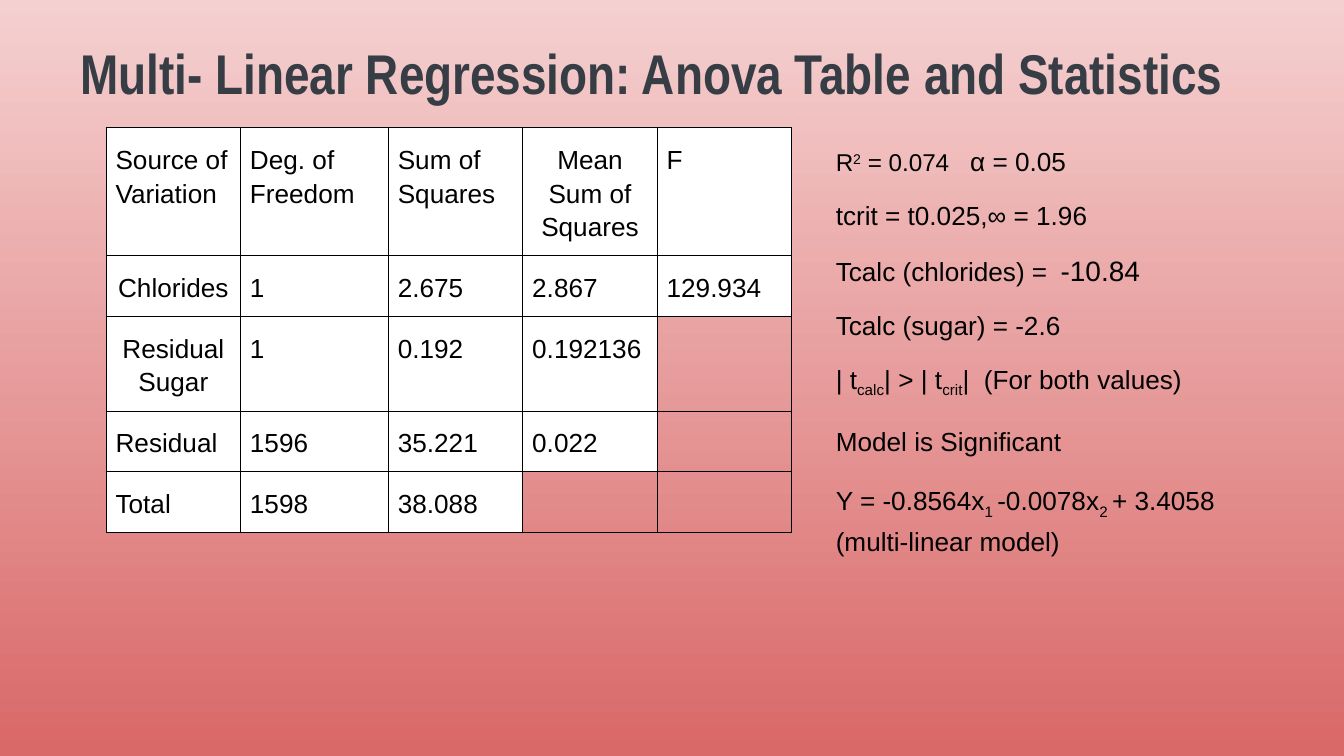
"""Build a slide with an ANOVA table and multi-linear regression statistics."""
from lxml import etree
from pptx import Presentation
from pptx import util as u
from pptx.dml import color
from pptx.enum import text
from pptx.oxml import ns

COLORS = {"light": "F5D0D0", "dark": "D96868", "title": "363D45", "ink": "000000", "cell": "FFFFFF"}


def rgb(name):
    return color.RGBColor.from_string(COLORS[name])


def write(para, words, size=14, font="Arial", ink="ink", bold=False, baseline=0):
    span = para.add_run()
    span.text = words
    span.font.size = u.Pt(size)
    span.font.name = font
    span.font.bold = bold
    span.font.color.rgb = rgb(ink)
    if baseline:
        span._r.get_or_add_rPr().set("baseline", str(baseline * 1000))


deck = Presentation()
deck.slide_width, deck.slide_height = u.Inches(10), u.Inches(10 * 9 / 16)
page = deck.slides.add_slide(deck.slide_layouts[5])

backdrop = page.background.fill
backdrop.gradient()
backdrop.gradient_angle = 270
for stop, name in zip(backdrop.gradient_stops, ("light", "dark")):
    stop.color.rgb = rgb(name)

title = page.shapes.title
title.left, title.top = u.Inches(0.53), u.Inches(0.3)
title.width, title.height = u.Inches(8.78), u.Inches(1.09)
frame = title.text_frame
frame.auto_size = text.MSO_AUTO_SIZE.NONE
frame.word_wrap = True
frame.vertical_anchor = text.MSO_ANCHOR.TOP
frame.margin_left = frame.margin_right = u.Inches(0.07)
frame.margin_top = frame.margin_bottom = u.Inches(0.04)
para = frame.paragraphs[0]
para.alignment = text.PP_ALIGN.LEFT
para.line_spacing = 0.9
write(para, "Multi- Linear Regression: Anova Table and Statistics",
      size=30, font="Arial Narrow", ink="title", bold=True)

rows = [
    ["Source of Variation", "Deg. of Freedom", "Sum of Squares", "Mean Sum of Squares", "F"],
    ["Chlorides", "1", "2.675", "2.867", "129.934"],
    ["Residual Sugar", "1", "0.192", "0.192136", ""],
    ["Residual", "1596", "35.221", "0.022", ""],
    ["Total", "1598", "38.088", "", ""],
]
widths = [1, 1.1, 1, 1, 1]
heights = [0.75, 0.4, 0.58, 0.4, 0.4]
centered = {"Mean Sum of Squares", "Chlorides", "Residual Sugar"}

anova = page.shapes.add_table(
    len(rows), len(widths), u.Inches(0.79), u.Inches(0.95),
    u.Inches(sum(widths)), u.Inches(sum(heights))).table
anova.first_row = anova.horz_banding = False
for column, width in zip(anova.columns, widths):
    column.width = u.Inches(width)
for row, height, values in zip(anova.rows, heights, rows):
    row.height = u.Inches(height)
    for cell, value in zip(row.cells, values):
        cell.margin_left = cell.margin_right = u.Inches(0.07)
        cell.margin_top = cell.margin_bottom = u.Inches(0.1)
        for side in ("a:lnL", "a:lnR", "a:lnT", "a:lnB"):
            border = etree.SubElement(cell._tc.get_or_add_tcPr(), ns.qn(side), w=str(u.Pt(0.6)))
            paint = etree.SubElement(border, ns.qn("a:solidFill"))
            etree.SubElement(paint, ns.qn("a:srgbClr"), val=COLORS["ink"])
        para = cell.text_frame.paragraphs[0]
        if not value:
            cell.fill.background()
            etree.SubElement(para._p, ns.qn("a:endParaRPr"), sz="1400")
            continue
        cell.fill.solid()
        cell.fill.fore_color.rgb = rgb("cell")
        para.line_spacing = 1.15
        para.alignment = text.PP_ALIGN.CENTER if value in centered else text.PP_ALIGN.LEFT
        write(para, value)

sub = {"baseline": -25}
small = {"size": 13}
statistics = [
    (1.15, [("R", small), ("2", {"size": 13, "baseline": 30}), (" = 0.074\t", small), ("α = 0.05", {})]),
    (1, [("tcrit = t0.025,∞ = 1.96", {})]),
    (1, [("Tcalc (chlorides) = ", {}), (" ", {"size": 12, "font": "Times New Roman"}),
         ("-10.84", {"size": 15})]),
    (1, [("Tcalc (sugar) = -2.6", {})]),
    (1, [("| t", {}), ("calc", sub), ("| > | t", {}), ("crit", sub), ("|  (For both values)", {})]),
    (1.15, [("Model is Significant", {})]),
    (1.15, [("Y = -0.8564x", {}), ("1 ", sub), ("-0.0078x", {}), ("2 ", sub),
            ("+ 3.4058 (multi-linear model)", {})]),
]
box = page.shapes.add_textbox(u.Inches(6.12), u.Inches(0.95), u.Inches(3.28), u.Inches(3.61))
frame = box.text_frame
frame.word_wrap = True
frame.auto_size = text.MSO_AUTO_SIZE.SHAPE_TO_FIT_TEXT
frame.margin_left = frame.margin_right = frame.margin_top = frame.margin_bottom = u.Inches(0.1)
for index, (spacing, spans) in enumerate(statistics):
    para = frame.add_paragraph() if index else frame.paragraphs[0]
    para.line_spacing = spacing
    para.space_before = u.Pt(12 if index else 0)
    for words, style in spans:
        write(para, words, **style)

deck.save("out.pptx")
